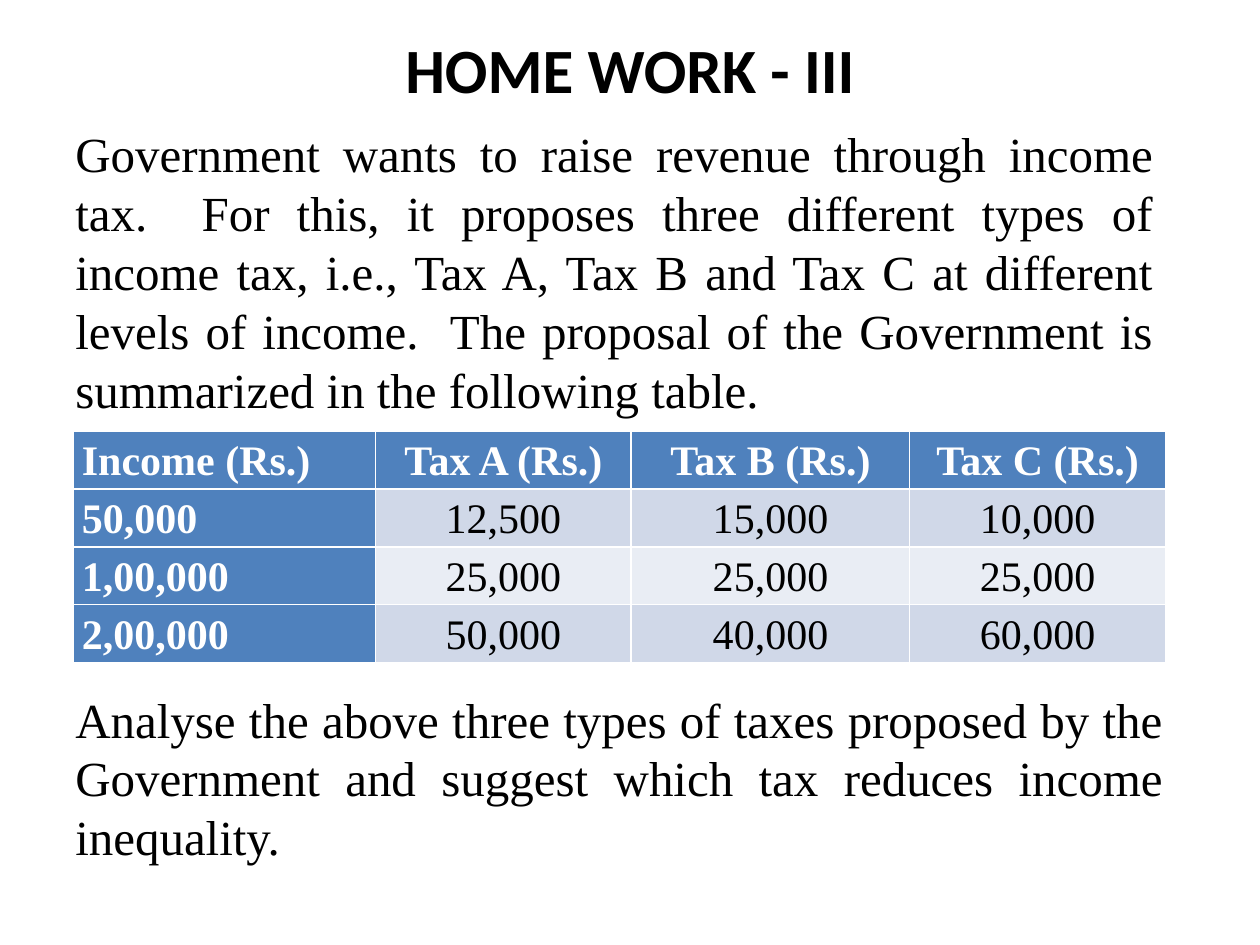
import pptx
import pptx.util
import pptx.dml.color
import pptx.enum.text

Inches, Pt = pptx.util.Inches, pptx.util.Pt
RGBColor = pptx.dml.color.RGBColor
Align = pptx.enum.text.PP_ALIGN
Anchor = pptx.enum.text.MSO_ANCHOR
Fit = pptx.enum.text.MSO_AUTO_SIZE

BLACK = RGBColor(0x00, 0x00, 0x00)
WHITE = RGBColor(0xFF, 0xFF, 0xFF)
BLUE = RGBColor(0x4F, 0x81, 0xBD)
BANDS = [RGBColor(0xD0, 0xD8, 0xE8), RGBColor(0xE9, 0xED, 0xF4)]
SERIF = "Times New Roman"

INTRO = (
    "Government wants to raise revenue through income tax.  For this, it "
    "proposes three different types of income tax, i.e., Tax A, Tax B and "
    "Tax C at different levels of income.  The proposal of the Government is "
    "summarized in the following table."
)
TASK = (
    "Analyse the above three types of taxes proposed by the Government and "
    "suggest which tax reduces income inequality."
)
TAXES = [
    ["Income (Rs.)", "Tax A (Rs.)", "Tax B (Rs.)", "Tax C (Rs.)"],
    ["50,000", "12,500", "15,000", "10,000"],
    ["1,00,000", "25,000", "25,000", "25,000"],
    ["2,00,000", "50,000", "40,000", "60,000"],
]
WIDTHS = [2.4, 2.03, 2.21, 2.03]


def write(frame, text, size, align, font=SERIF, color=BLACK, bold=False):
    para = frame.paragraphs[0]
    para.alignment = align
    run = para.add_run()
    run.text = text
    run.font.name = font
    run.font.size = Pt(size)
    run.font.bold = bold
    run.font.color.rgb = color
    return para


def add_text(slide, box, text, size=28, align=Align.JUSTIFY,
             anchor=Anchor.TOP, fit=Fit.SHAPE_TO_FIT_TEXT, **style):
    frame = slide.shapes.add_textbox(*map(Inches, box)).text_frame
    frame.word_wrap = True
    frame.auto_size = fit
    frame.vertical_anchor = anchor
    write(frame, text, size, align, **style)


def add_taxes(slide, box):
    """Place the tax table; its style draws the white rules between cells."""
    table = slide.shapes.add_table(
        len(TAXES), len(WIDTHS), *map(Inches, box)).table
    table.first_col = True
    for col, width in zip(table.columns, WIDTHS):
        col.width = Inches(width)
    for r, row in enumerate(TAXES):
        table.rows[r].height = Inches(box[3] / len(TAXES))
        for c, text in enumerate(row):
            cell = table.cell(r, c)
            head = r == 0 or c == 0
            cell.fill.solid()
            cell.fill.fore_color.rgb = BLUE if head else BANDS[(r - 1) % 2]
            cell.margin_left = cell.margin_right = Inches(0.07)
            cell.margin_top = cell.margin_bottom = 0
            para = write(cell.text_frame, text, 24,
                         Align.CENTER if c else Align.JUSTIFY,
                         color=WHITE if head else BLACK, bold=head)
            para.line_spacing = 1.15


def main():
    deck = pptx.Presentation()
    deck.slide_width, deck.slide_height = Inches(10), Inches(7.5)
    slide = deck.slides.add_slide(deck.slide_layouts[6])
    add_text(slide, (0.5, 0.25, 9, 0.58), "HOME WORK - III", 36,
             Align.CENTER, Anchor.MIDDLE, Fit.NONE, font="Calibri", bold=True)
    add_taxes(slide, (0.58, 3.42, 8.67, 1.84))
    add_text(slide, (0.5, 0.92, 8.75, 2.46), INTRO, anchor=Anchor.MIDDLE)
    add_text(slide, (0.5, 5.42, 8.83, 1.51), TASK)
    deck.save("out.pptx")


if __name__ == "__main__":
    main()
